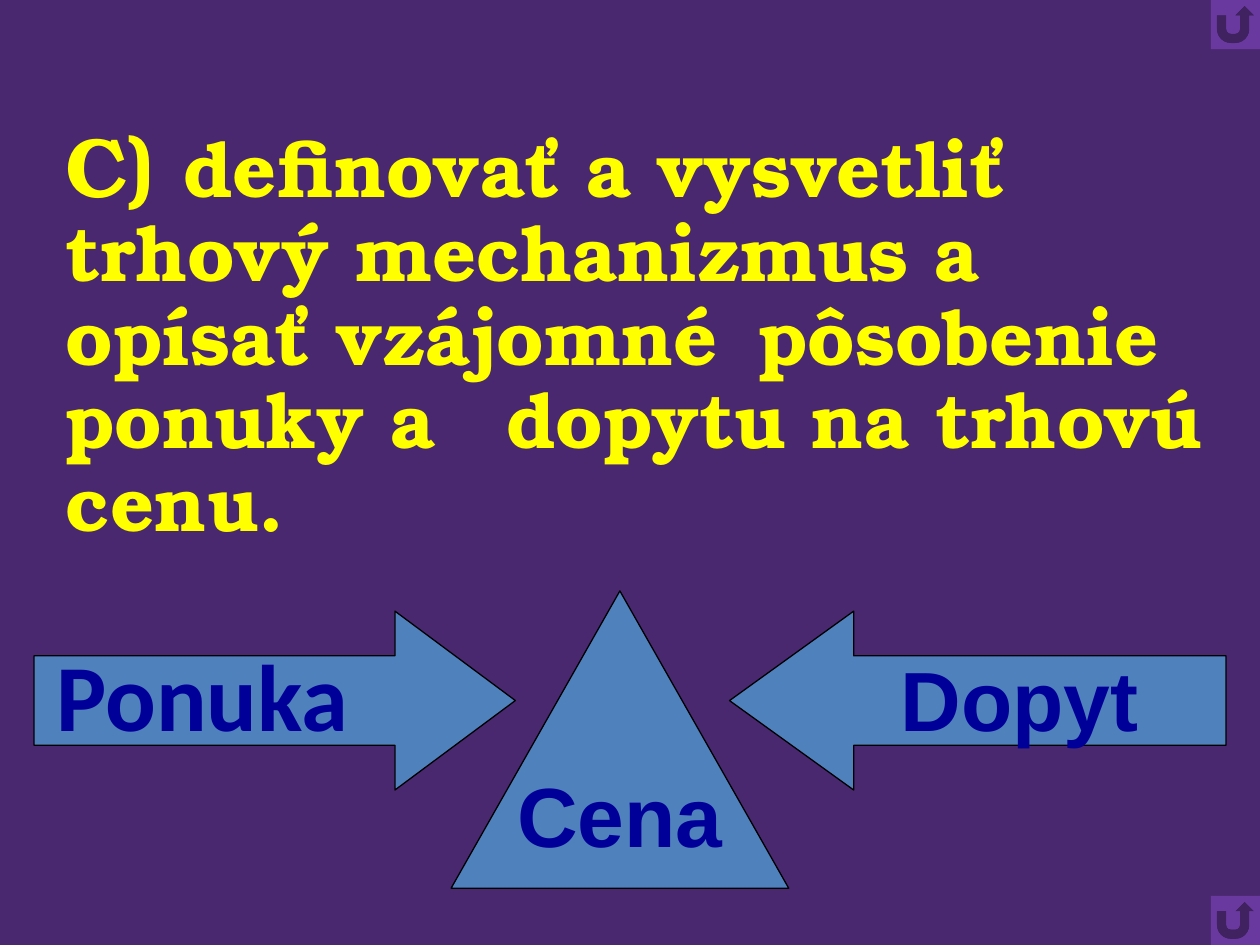
from lxml import etree
from pptx import Presentation
from pptx import util as u
from pptx.dml.color import RGBColor
from pptx.enum import shapes, text
from pptx.oxml.ns import qn

Inches = u.Inches
KIND = shapes.MSO_SHAPE


def color(value):
    return RGBColor.from_string(value)


class SlideBuilder:
    background = "4A2870"
    heading = "FFFF00"
    label = "000099"
    shape_fill = "4F81BD"
    outline = "000000"
    button_fill = "6A399F"

    def __init__(self, deck):
        self.slide = deck.slides.add_slide(deck.slide_layouts[5])
        fill = self.slide.background.fill
        fill.solid()
        fill.fore_color.rgb = color(self.background)

    def place(self, item, left, top, width, height):
        item.left, item.top = Inches(left), Inches(top)
        item.width, item.height = Inches(width), Inches(height)

    def span(self, para, words, size, font, ink):
        span = para.add_run()
        span.text = words
        span.font.size = u.Pt(size)
        span.font.name = font
        span.font.bold = True
        span.font.color.rgb = color(ink)

    def title(self, area, top_margin, spans):
        box = self.slide.shapes.title
        self.place(box, *area)
        frame = box.text_frame
        frame.auto_size = text.MSO_AUTO_SIZE.NONE
        frame.vertical_anchor = text.MSO_ANCHOR.TOP
        frame.margin_top = Inches(top_margin)
        para = frame.paragraphs[0]
        para.alignment = text.PP_ALIGN.LEFT
        para.line_spacing = 0.9
        # Indent and one tab stop per inch
        props = para._p.get_or_add_pPr()
        props.set("marL", str(Inches(0.42)))
        props.set("indent", "0")
        tabs = etree.SubElement(props, qn("a:tabLst"))
        for inch in range(8):
            etree.SubElement(tabs, qn("a:tab"), pos=str(Inches(inch)), algn="l")
        for words, size in spans:
            self.span(para, words, size, "TeX Gyre Bonum", self.heading)

    def text_box(self, area, words, size, font):
        box = self.slide.shapes.add_textbox(*map(Inches, area))
        box.text_frame.word_wrap = True
        self.span(box.text_frame.paragraphs[0], words, size, font, self.label)

    def shape(self, kind, area, fill=shape_fill, outlined=True):
        shape = self.slide.shapes.add_shape(kind, *map(Inches, area))
        shape.shadow.inherit = False
        shape.fill.solid()
        shape.fill.fore_color.rgb = color(fill)
        if outlined:
            shape.line.color.rgb = color(self.outline)
            shape.line.width = u.Pt(0.75)
        else:
            shape.line.fill.background()
        return shape

    def arrow(self, area, head, rotation=0):
        arrow = self.shape(KIND.RIGHT_ARROW, area)
        arrow.adjustments[1] = head
        arrow.rotation = rotation

    def triangle(self, area, words):
        frame = self.shape(KIND.ISOSCELES_TRIANGLE, area).text_frame
        frame.word_wrap = False
        frame.vertical_anchor = text.MSO_ANCHOR.MIDDLE
        para = frame.paragraphs[0]
        para.alignment = text.PP_ALIGN.CENTER
        self.span(para, words, 48, "Arial", self.label)

    def return_button(self, top, side=0.39):
        self.shape(KIND.ACTION_BUTTON_RETURN, (10 - side, top, side, side),
                   self.button_fill, outlined=False)


def main():
    deck = Presentation()
    deck.slide_width, deck.slide_height = Inches(10), Inches(7.5)
    page = SlideBuilder(deck)

    # Learning goal
    page.title((0, 0.13, 10, 4.92), 0.86, [
        ("C) ", 48),
        ("definovať a vysvetliť \t\ttrhový mechanizmus a \topísať vzájomné "
         "\tpôsobenie ponuky a \tdopytu na trhovú cenu.", 44),
    ])

    # Supply and demand pressing on the price
    page.arrow((0.27, 4.85, 3.82, 1.42), 0.673)
    page.arrow((5.79, 4.85, 3.94, 1.42), 0.694, rotation=180)
    page.text_box((0.35, 5.01, 5.41, 3.74), "Ponuka", 54, "Calibri")
    page.text_box((7.05, 5.09, 2.44, 0.9), "Dopyt", 48, "Arial")
    page.triangle((3.58, 4.69, 2.68, 2.36), "Cena")

    # Return buttons in the right-hand corners
    for top in (0, 7.11):
        page.return_button(top)

    deck.save("out.pptx")


if __name__ == "__main__":
    main()
